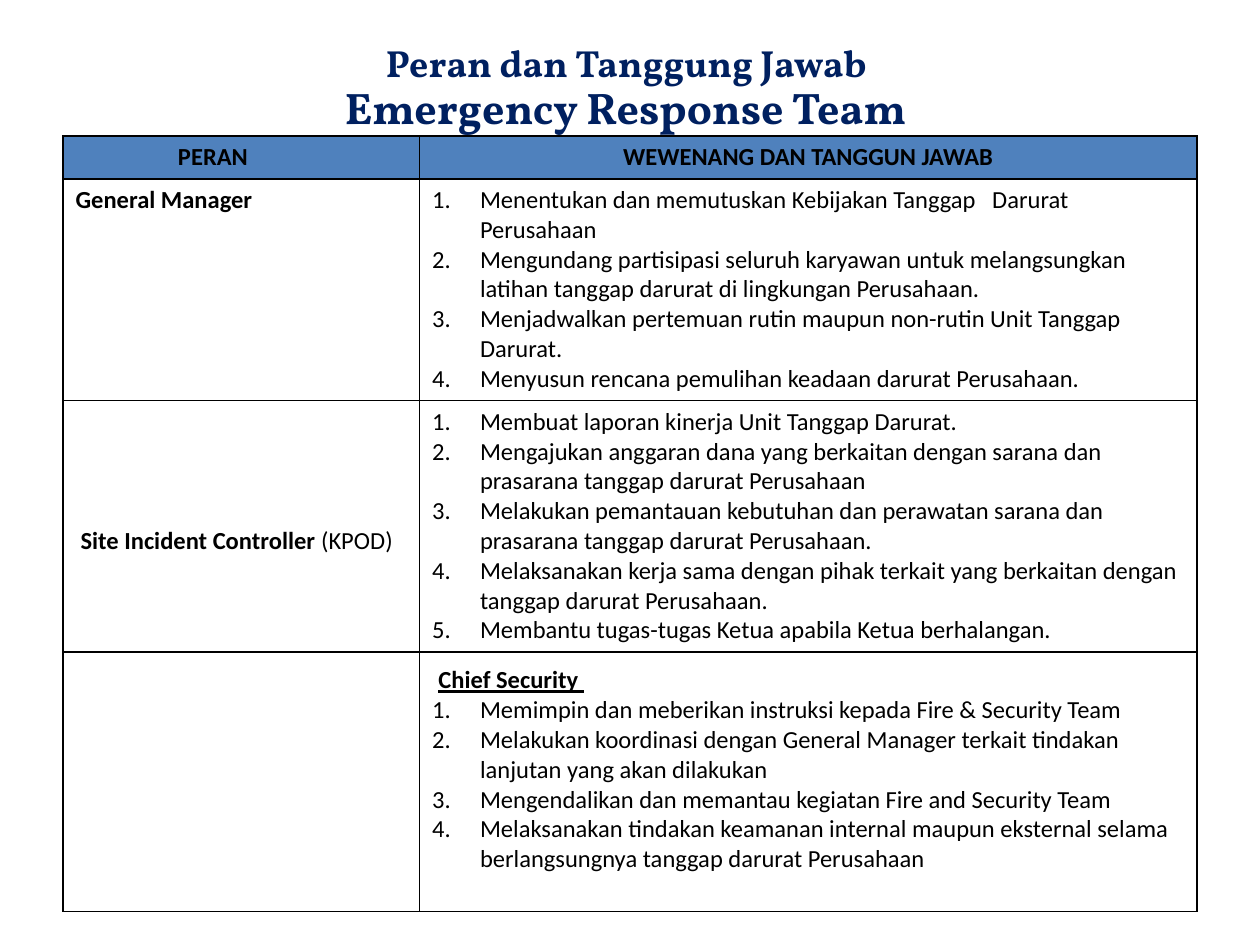
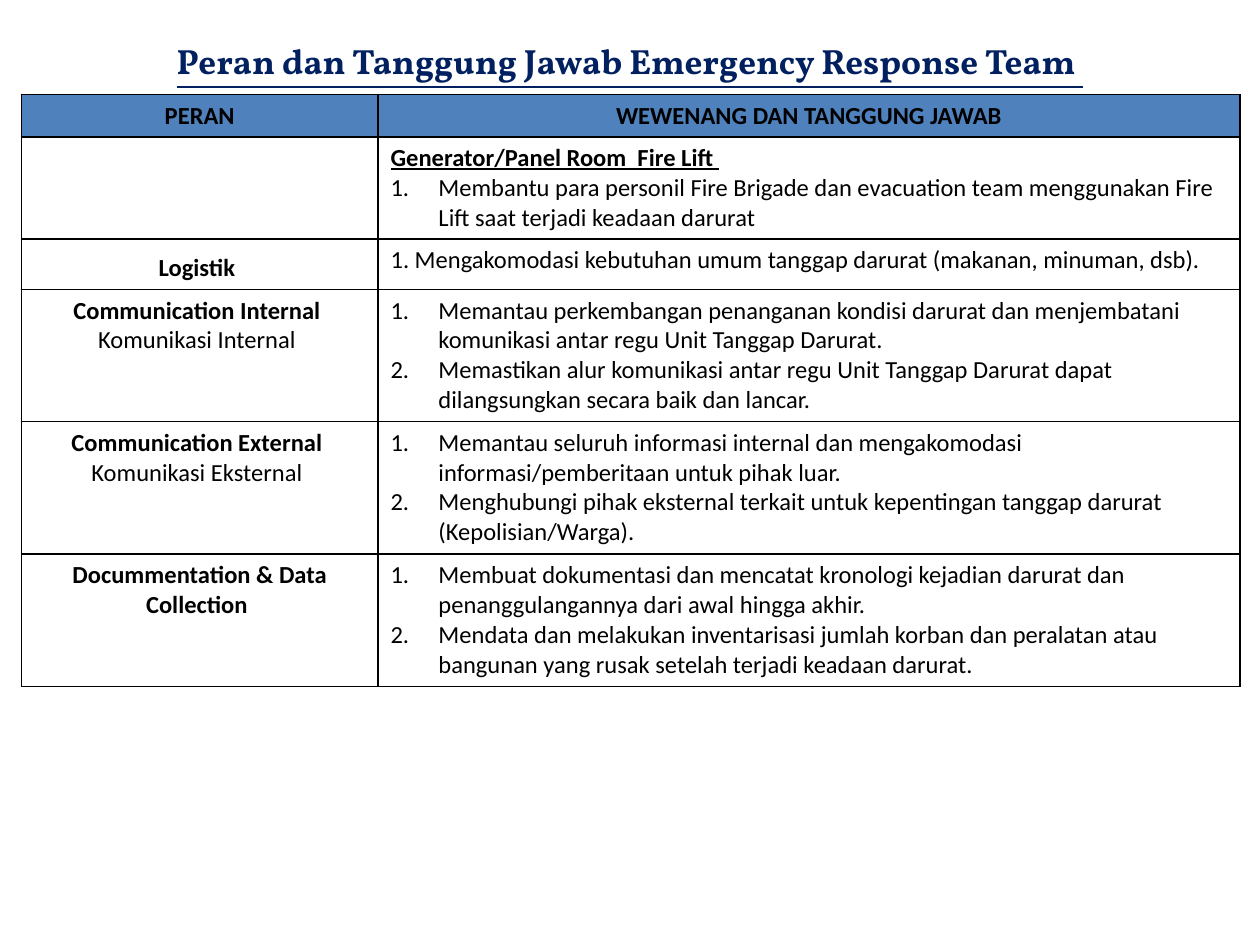
from pptx import Presentation
from pptx.dml.color import RGBColor
from pptx.enum.text import MSO_ANCHOR, MSO_AUTO_SIZE, PP_ALIGN
from pptx.util import Inches, Pt
from lxml.etree import SubElement
from pptx.oxml.ns import qn

NAVY = "002060"
HEADER_BLUE = "4F81BD"
WHITE = "FFFFFF"
BLACK = "000000"
TITLE_FONT = "Vollkorn"
BODY_FONT = "Calibri"
BODY_SIZE = 14
ROLE_WIDTH = 2.83


def color(value):
    return RGBColor.from_string(value)


def format_span(span, font, size, hue, bold, underline):
    span.font.name = font
    span.font.size = Pt(size)
    span.font.color.rgb = color(hue)
    span.font.bold = bold
    span.font.underline = underline


def plain(text):
    return {"spans": [(text, False, False)]}


def bold(text):
    return {"spans": [(text, True, False)]}


def heading(text, **options):
    return {"spans": [(text, True, True)], **options}


def numbered(*texts):
    return [{"spans": [(text, False, False)], "numbered": True} for text in texts]


def entry(*paras, **options):
    return {"paras": paras, **options}


def centered(*paras, **options):
    return entry(*paras, align=PP_ALIGN.CENTER, **options)


def add_title(page, box, lines):
    title = page.shapes.title
    title.left, title.top, title.width, title.height = map(Inches, box)
    frame = title.text_frame
    frame.auto_size = MSO_AUTO_SIZE.NONE
    frame.vertical_anchor = MSO_ANCHOR.MIDDLE
    frame.margin_top, frame.margin_bottom = Inches(0.12), 0
    for index, (text, size, underline) in enumerate(lines):
        para = frame.add_paragraph() if index else frame.paragraphs[0]
        para.text = text
        para.alignment = PP_ALIGN.CENTER
        para.line_spacing = 0.9
        format_span(para.runs[0], TITLE_FONT, size, NAVY, True, underline)


def add_borders(cell):
    properties = cell._tc.get_or_add_tcPr()
    for side in ("lnL", "lnR", "lnT", "lnB"):
        line = SubElement(properties, qn(f"a:{side}"), w=str(Pt(1)))
        fill = SubElement(line, qn("a:solidFill"))
        SubElement(fill, qn("a:srgbClr"), val=BLACK)


def indent(para, left, first=0):
    properties = para._p.get_or_add_pPr()
    properties.set("marL", str(Inches(left)))
    properties.set("indent", str(Inches(first)))
    return properties


def fill_cell(cell, content, fill):
    add_borders(cell)
    cell.fill.solid()
    cell.fill.fore_color.rgb = color(fill)
    cell.margin_top = Inches(content.get("top", 0.05))
    cell.margin_left = Inches(content.get("left", 0.1))
    cell.margin_right = Inches(content.get("right", 0.1))
    frame = cell.text_frame
    for index, item in enumerate(content["paras"]):
        para = frame.add_paragraph() if index else frame.paragraphs[0]
        para.alignment = content.get("align", PP_ALIGN.LEFT)
        for text, is_bold, underline in item["spans"]:
            span = para.add_run()
            span.text = text
            format_span(span, BODY_FONT, BODY_SIZE, BLACK, is_bold, underline)
        if "indent" in item:
            indent(para, item["indent"])
        if item.get("numbered"):
            properties = indent(para, 0.38, -0.38)
            SubElement(properties, qn("a:buFont"), typeface="+mj-lt")
            SubElement(properties, qn("a:buAutoNum"), type="arabicPeriod")


def add_role_table(page, box, heights, rows):
    left, top, width = box
    frame = page.shapes.add_table(
        len(rows), 2, Inches(left), Inches(top), Inches(width), Inches(sum(heights)))
    table = frame.table
    table.horz_banding = False
    table.columns[0].width = Inches(ROLE_WIDTH)
    table.columns[1].width = Inches(width - ROLE_WIDTH)
    for index, (height, contents) in enumerate(zip(heights, rows)):
        table.rows[index].height = Inches(height)
        for column, content in enumerate(contents):
            fill = WHITE if index else HEADER_BLUE
            fill_cell(table.cell(index, column), content, fill)


def add_page(deck, title_box, title_lines, table_box, heights, rows):
    page = deck.slides.add_slide(deck.slide_layouts[5])
    add_title(page, title_box, title_lines)
    add_role_table(page, table_box, heights, rows)


LEADER_ROWS = [
    (centered(bold("PERAN"), right=0.55),
     centered(bold("WEWENANG DAN TANGGUN JAWAB"))),
    (entry(bold("General Manager")),
     entry(*numbered(
         "Menentukan dan memutuskan Kebijakan Tanggap   Darurat Perusahaan",
         "Mengundang partisipasi seluruh karyawan untuk melangsungkan latihan "
         "tanggap darurat di lingkungan Perusahaan.",
         "Menjadwalkan pertemuan rutin maupun non-rutin Unit Tanggap Darurat.",
         "Menyusun rencana pemulihan keadaan darurat Perusahaan."))),
    (entry({"spans": [("Site Incident Controller ", True, False),
                      ("(KPOD)", False, False)]}, top=1, left=0.14),
     entry(*numbered(
         "Membuat laporan kinerja Unit Tanggap Darurat.",
         "Mengajukan anggaran dana yang berkaitan dengan sarana dan prasarana "
         "tanggap darurat Perusahaan",
         "Melakukan pemantauan kebutuhan dan perawatan sarana dan prasarana "
         "tanggap darurat Perusahaan.",
         "Melaksanakan kerja sama dengan pihak terkait yang berkaitan dengan "
         "tanggap darurat Perusahaan.",
         "Membantu tugas-tugas Ketua apabila Ketua berhalangan."))),
    (entry(),
     entry(heading("Chief Security ", indent=0.05), *numbered(
         "Memimpin dan meberikan instruksi kepada Fire & Security Team",
         "Melakukan koordinasi dengan General Manager terkait tindakan lanjutan "
         "yang akan dilakukan",
         "Mengendalikan dan memantau kegiatan Fire and Security Team",
         "Melaksanakan tindakan keamanan internal maupun eksternal selama "
         "berlangsungnya tanggap darurat Perusahaan"), top=0.11)),
]

SUPPORT_ROWS = [
    (centered(bold("PERAN")), centered(bold("WEWENANG DAN TANGGUNG JAWAB"))),
    (entry(),
     entry(heading("Generator/Panel Room  Fire Lift "), *numbered(
         "Membantu para personil Fire Brigade dan evacuation team menggunakan "
         "Fire Lift saat terjadi keadaan darurat"))),
    (centered(bold("Logistik "), top=0.11),
     entry(plain("1. Mengakomodasi kebutuhan umum tanggap darurat "
                 "(makanan, minuman, dsb)."))),
    (centered(bold("Communication Internal "), plain("Komunikasi Internal ")),
     entry(*numbered(
         "Memantau perkembangan penanganan kondisi darurat dan menjembatani "
         "komunikasi antar regu Unit Tanggap Darurat.",
         "Memastikan alur komunikasi antar regu Unit Tanggap Darurat dapat "
         "dilangsungkan secara baik dan lancar."))),
    (centered(bold("Communication External "), plain("Komunikasi Eksternal ")),
     entry(*numbered(
         "Memantau seluruh informasi internal dan mengakomodasi "
         "informasi/pemberitaan untuk pihak luar.",
         "Menghubungi pihak eksternal terkait untuk kepentingan tanggap darurat "
         "(Kepolisian/Warga)."))),
    (centered(bold("Docummentation & Data Collection ")),
     entry(*numbered(
         "Membuat dokumentasi dan mencatat kronologi kejadian darurat dan "
         "penanggulangannya dari awal hingga akhir.",
         "Mendata dan melakukan inventarisasi jumlah korban dan peralatan atau "
         "bangunan yang rusak setelah terjadi keadaan darurat."))),
]


def main():
    deck = Presentation()
    deck.slide_width, deck.slide_height = Inches(10), Inches(7.5)
    add_page(deck, (0.5, 0.3, 9, 0.7),
             [("Peran dan Tanggung Jawab ", 21.6, False),
              ("Emergency Response Team ", 25.2, True)],
             (0.5, 1.08, 9), [0.34, 1.76, 1.99, 2.06], LEADER_ROWS)
    add_page(deck, (0.5, 0.3, 9, 0.28),
             [("Peran dan Tanggung Jawab Emergency Response Team ", 20, True)],
             (0.17, 0.75, 9.67), [0.33, 0.81, 0.4] + [1.05] * 3, SUPPORT_ROWS)
    deck.save("out.pptx")


if __name__ == "__main__":
    main()
